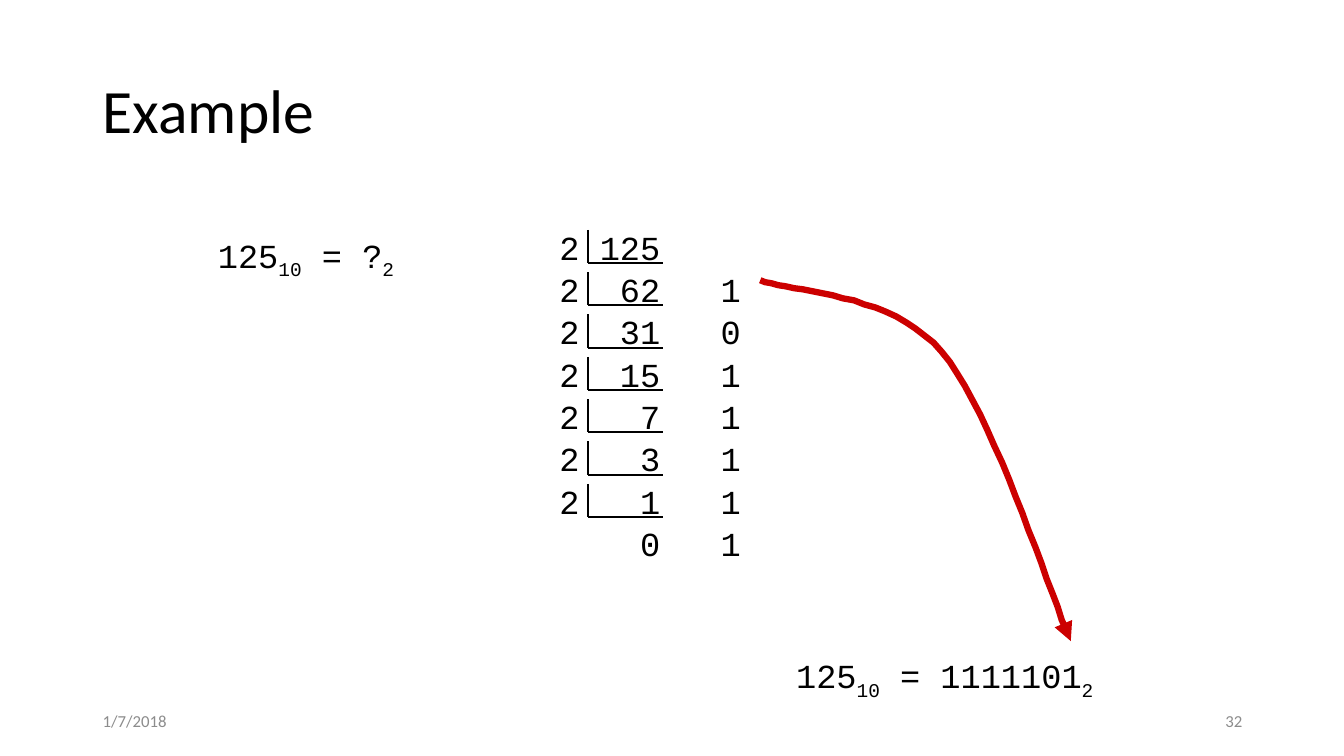
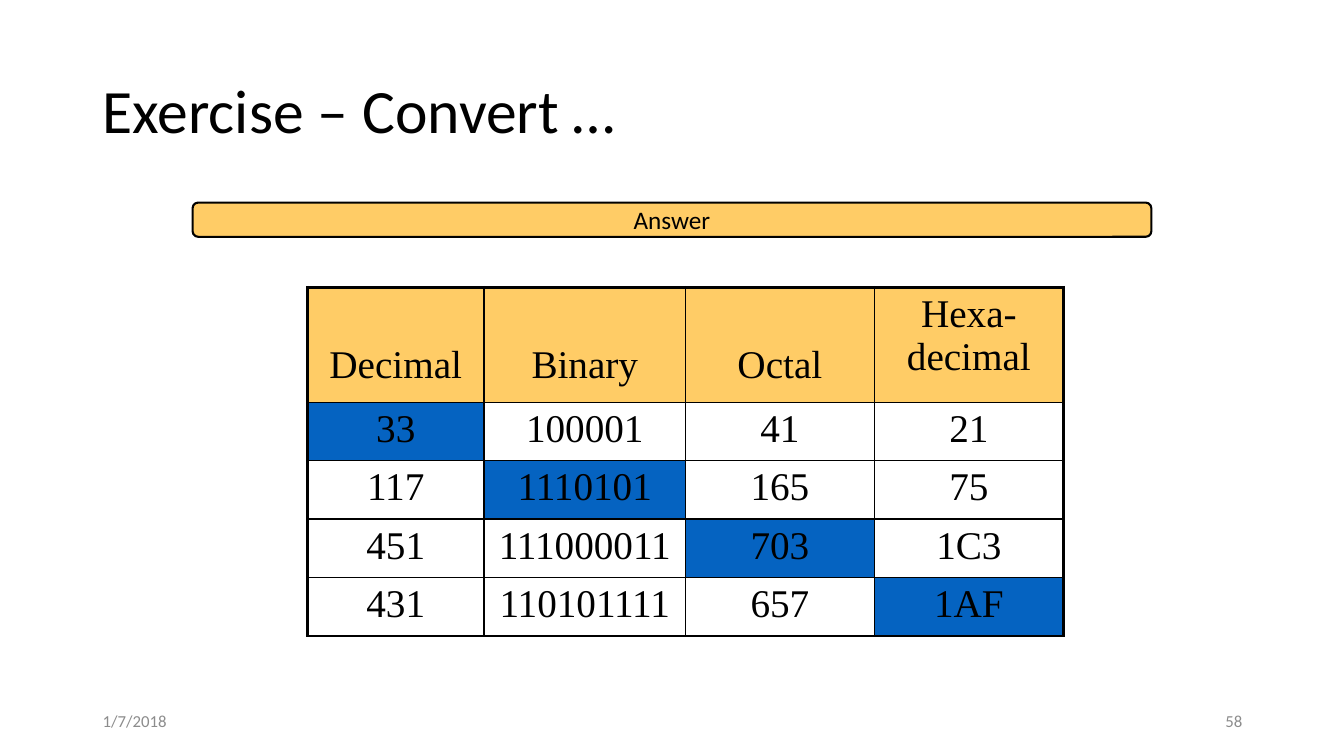
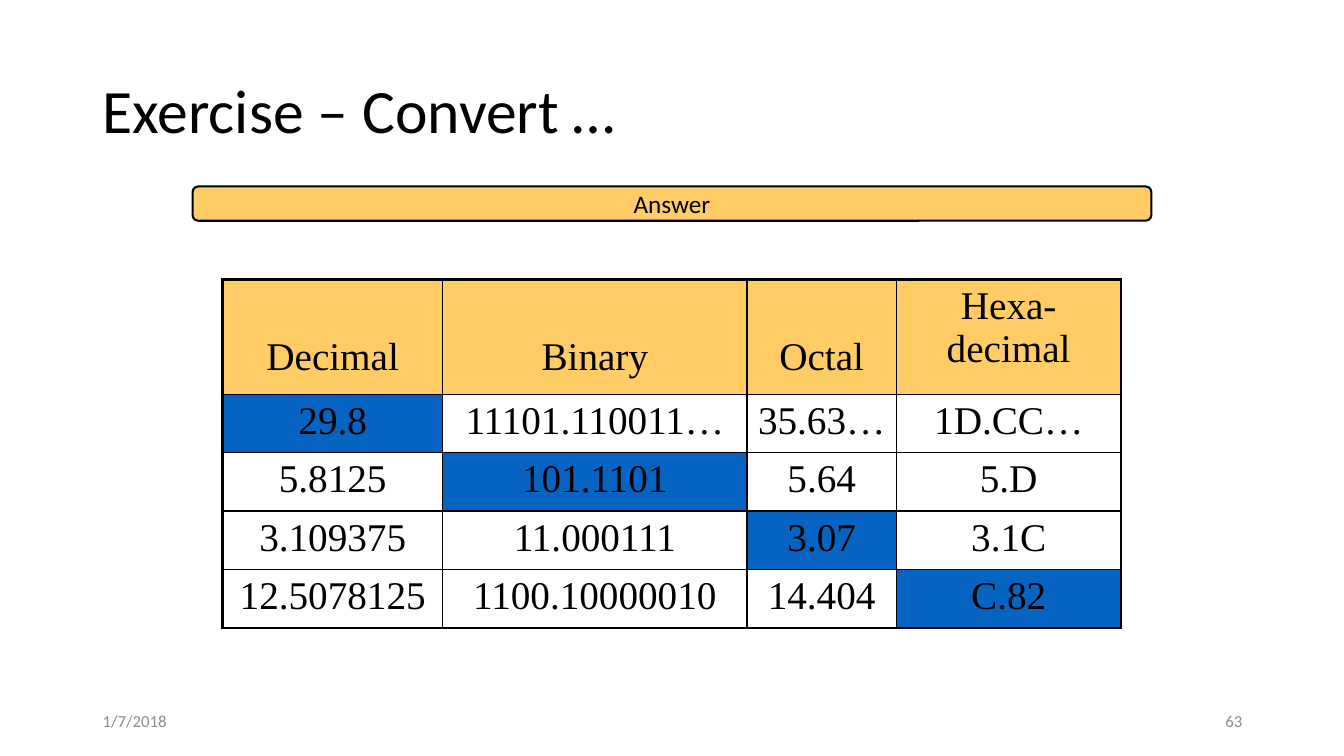
from dataclasses import dataclass

from lxml import etree
from pptx import Presentation
from pptx.dml.color import RGBColor
from pptx.enum.shapes import MSO_CONNECTOR, MSO_SHAPE
from pptx.enum.text import MSO_ANCHOR, PP_ALIGN
from pptx.oxml.ns import qn
from pptx.util import Pt

LEFT, CENTER, RIGHT = PP_ALIGN.LEFT, PP_ALIGN.CENTER, PP_ALIGN.RIGHT
TOP, MIDDLE = MSO_ANCHOR.TOP, MSO_ANCHOR.MIDDLE
STRAIGHT = MSO_CONNECTOR.STRAIGHT
ROUNDED = MSO_SHAPE.ROUNDED_RECTANGLE

EMU_PER_PX = 9144  # 100 px to the inch
BLANK_LAYOUT = 6


@dataclass(frozen=True)
class Theme:
    ink: str = "000000"
    muted: str = "8C8C8C"
    amber: str = "FFCC66"
    blue: str = "0563C1"
    red: str = "CC0000"
    body_font: str = "Calibri"
    code_font: str = "Courier New"
    table_font: str = "Times New Roman"
    title_size: int = 44
    table_size: int = 28
    code_size: int = 24
    answer_size: int = 18
    footer_size: int = 12
    thin: float = 1
    rule: float = 1.5
    frame: float = 2.25
    arrow: float = 4.5


THEME = Theme()
TITLE = {"name": THEME.body_font, "size": Pt(THEME.title_size)}
FOOTER = {"name": THEME.body_font, "size": Pt(THEME.footer_size)}
ANSWER = {"name": THEME.body_font, "size": Pt(THEME.answer_size)}
CODE = {"name": THEME.code_font, "size": Pt(THEME.code_size)}
CELL = {"name": THEME.table_font, "size": Pt(THEME.table_size)}

DATE = "1/7/2018"
HEADINGS = ("Decimal", "Binary", "Octal", "Hexa-\ndecimal")
INTEGERS = (
    ("33", "100001", "41", "21"),
    ("117", "1110101", "165", "75"),
    ("451", "111000011", "703", "1C3"),
    ("431", "110101111", "657", "1AF"),
)
FRACTIONS = (
    ("29.8", "11101.110011…", "35.63…", "1D.CC…"),
    ("5.8125", "101.1101", "5.64", "5.D"),
    ("3.109375", "11.000111", "3.07", "3.1C"),
    ("12.5078125", "1100.10000010", "14.404", "C.82"),
)
HEADING_HEIGHT, ROW_HEIGHT = 114, 58
HEADING_DROP = 56  # top margin that puts a one-line heading on the second line

RUNG_LEFT, RUNG_TOP, RUNG_STEP = 545, 220, 42
RUNG_TABS = (100, 180)
ARROW_START = (754, 278)
ARROW_CURVES = (
    ((784, 290), (883, 289), (934, 349)),
    ((985, 409), (1036, 576), (1062, 636)),
)


def px(length):
    return length * EMU_PER_PX


def box_of(*lengths):
    return [px(length) for length in lengths]


def color(code):
    return RGBColor.from_string(code)


def style_runs(paragraph, font_format, ink=THEME.ink):
    for run in paragraph.runs:
        for attribute, value in font_format.items():
            setattr(run.font, attribute, value)
        run.font.color.rgb = color(ink)


def add_text(slide, box, text, font_format, align=LEFT, anchor=TOP, ink=THEME.ink):
    frame = slide.shapes.add_textbox(*box_of(*box)).text_frame
    frame.word_wrap = True
    frame.vertical_anchor = anchor
    paragraph = frame.paragraphs[0]
    paragraph.text = text
    paragraph.alignment = align
    style_runs(paragraph, font_format, ink)
    return paragraph


def add_equation(slide, box, parts):
    """Write parts in which every second one is a subscript."""
    paragraph = add_text(slide, box, "", CODE, CENTER)
    for index, part in enumerate(parts):
        run = paragraph.add_run()
        run.text = part
        if index % 2:
            run._r.get_or_add_rPr().set("baseline", "-25000")
    style_runs(paragraph, CODE)


def add_rule(slide, start, end):
    connector = slide.shapes.add_connector(STRAIGHT, *box_of(*start, *end))
    connector.line.color.rgb = color(THEME.ink)
    connector.line.width = Pt(THEME.rule)
    etree.SubElement(connector.element.spPr, qn("a:effectLst"))


def set_right_tabs(paragraph, positions):
    tabs = etree.SubElement(paragraph._p.get_or_add_pPr(), qn("a:tabLst"))
    for position in positions:
        etree.SubElement(tabs, qn("a:tab"), pos=str(px(position)), algn="r")


def add_division_ladder(slide, number, base):
    """Divide down to zero, one rung for each quotient and its remainder."""
    quotient, remainder, top = number, "", RUNG_TOP
    while True:
        divisor = str(base) if quotient else ""
        text = f"{divisor}\t{quotient}\t{remainder}".rstrip()
        paragraph = add_text(slide, (RUNG_LEFT, top, 225, 50), text, CODE)
        set_right_tabs(paragraph, RUNG_TABS)
        if not quotient:
            return
        corner = (RUNG_LEFT + 38, top + 41)
        add_rule(slide, (corner[0], top + 8), corner)
        add_rule(slide, corner, (corner[0] + 75, corner[1]))
        quotient, remainder = divmod(quotient, base)
        top += RUNG_STEP


def curve_points(start, curves, steps=20):
    """Sample a chain of cubic Bézier curves."""
    points = []
    for first, second, end in curves:
        for step in range(1, steps + 1):
            t = step / steps
            weights = ((1 - t) ** 3, 3 * t * (1 - t) ** 2, 3 * t**2 * (1 - t), t**3)
            corners = (start, first, second, end)
            points.append([sum(w * corner[axis] for w, corner in zip(weights, corners))
                           for axis in (0, 1)])
        start = end
    return points


def add_curved_arrow(slide, start, curves):
    builder = slide.shapes.build_freeform(*start, scale=EMU_PER_PX)
    builder.add_line_segments(curve_points(start, curves), close=False)
    arrow = builder.convert_to_shape()
    arrow.shadow.inherit = False
    arrow.fill.background()
    arrow.line.color.rgb = color(THEME.red)
    arrow.line.width = Pt(THEME.arrow)
    etree.SubElement(arrow.element.spPr.find(qn("a:ln")), qn("a:tailEnd"), type="triangle")


def add_answer_bar(slide, top):
    bar = slide.shapes.add_shape(ROUNDED, *box_of(191, top, 951, 34))
    bar.shadow.inherit = False
    bar.fill.solid()
    bar.fill.fore_color.rgb = color(THEME.amber)
    bar.line.color.rgb = color(THEME.ink)
    bar.line.width = Pt(THEME.rule)
    frame = bar.text_frame
    frame.margin_top = frame.margin_bottom = 0
    frame.vertical_anchor = MIDDLE
    paragraph = frame.paragraphs[0]
    paragraph.text = "Answer"
    paragraph.alignment = CENTER
    style_runs(paragraph, ANSWER)


def set_borders(cell, outer_sides):
    properties = cell._tc.get_or_add_tcPr()
    for side in "LRTB":
        width = THEME.frame if side in outer_sides else THEME.thin
        line = etree.SubElement(properties, qn(f"a:ln{side}"), w=str(Pt(width)))
        fill = etree.SubElement(line, qn("a:solidFill"))
        etree.SubElement(fill, qn("a:srgbClr"), val=THEME.ink)


def fill_cell(cell, text, fill, outer_sides):
    set_borders(cell, outer_sides)
    if fill:
        cell.fill.solid()
        cell.fill.fore_color.rgb = color(fill)
    else:
        cell.fill.background()
    paragraph = cell.text_frame.paragraphs[0]
    paragraph.text = text
    paragraph.alignment = CENTER
    style_runs(paragraph, CELL)


def add_conversion_table(slide, left, top, widths, values):
    """Tabulate the conversions, with the given number of each row in blue."""
    rows = (HEADINGS, *values)
    heights = [HEADING_HEIGHT] + [ROW_HEIGHT] * len(values)
    box = box_of(left, top, sum(widths), sum(heights))
    table = slide.shapes.add_table(len(rows), len(widths), *box).table
    table.first_row = table.horz_banding = False
    for column, width in zip(table.columns, widths):
        column.width = px(width)
    for row, height in zip(table.rows, heights):
        row.height = px(height)
    last_row, last_column = len(rows) - 1, len(widths) - 1
    for r, texts in enumerate(rows):
        for c, text in enumerate(texts):
            cell = table.cell(r, c)
            edges = {"L": c == 0, "R": c == last_column, "T": r == 0, "B": r == last_row}
            outer_sides = [side for side, is_outer in edges.items() if is_outer]
            fill = THEME.amber if r == 0 else THEME.blue if c == r - 1 else None
            fill_cell(cell, text, fill, outer_sides)
            if r == 0 and "\n" not in text:
                cell.margin_top = px(HEADING_DROP)


def add_slide(presentation, title, number):
    slide = presentation.slides.add_slide(presentation.slide_layouts[BLANK_LAYOUT])
    heading = add_text(slide, (92, 40, 1150, 145), title, TITLE, anchor=MIDDLE)
    heading.line_spacing = 0.9
    for left, text, align in ((92, DATE, LEFT), (942, str(number), RIGHT)):
        add_text(slide, (left, 695, 300, 40), text, FOOTER, align, MIDDLE, THEME.muted)
    return slide


def add_example_slide(presentation):
    slide = add_slide(presentation, "Example", 32)
    add_equation(slide, (191, 228, 225, 50), ("125", "10", " = ?", "2"))
    add_division_ladder(slide, 125, 2)
    add_equation(slide, (758, 645, 358, 50), ("125", "10", " = 1111101", "2"))
    add_curved_arrow(slide, ARROW_START, ARROW_CURVES)


def add_exercise_slide(presentation, number, bar_top, left, top, widths, values):
    slide = add_slide(presentation, "Exercise – Convert …", number)
    add_conversion_table(slide, left, top, widths, values)
    add_answer_bar(slide, bar_top)


def main():
    presentation = Presentation()
    presentation.slide_width, presentation.slide_height = px(1333), px(750)
    add_example_slide(presentation)
    add_exercise_slide(presentation, 58, 201, 305, 285, (175, 200, 187, 188), INTEGERS)
    add_exercise_slide(presentation, 63, 185, 221, 277, (218, 302, 148, 223), FRACTIONS)
    presentation.save("out.pptx")


if __name__ == "__main__":
    main()
